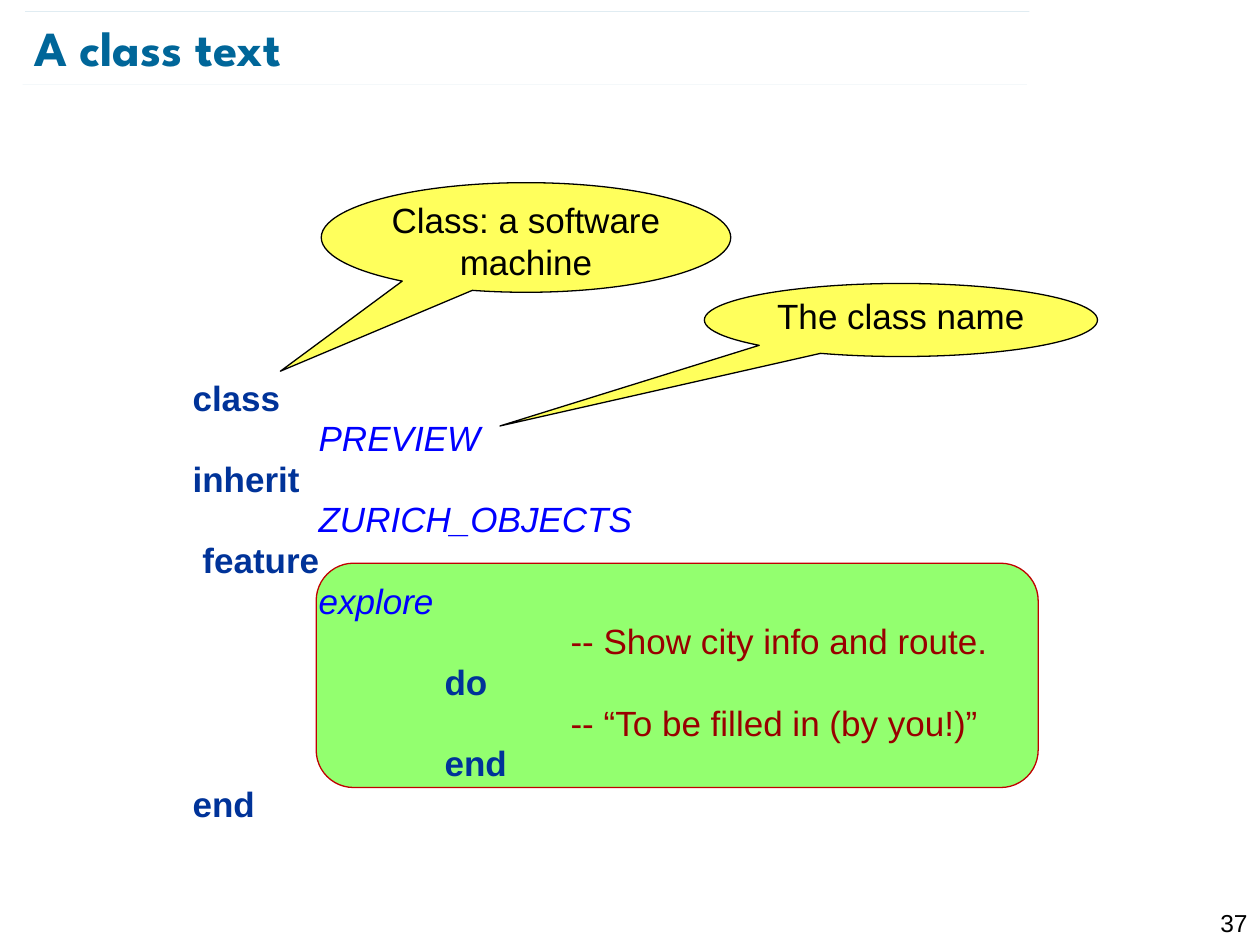
"""Build the slide that presents a class text with two callouts."""
from typing import Any, NamedTuple

from pptx import Presentation
from pptx.dml.color import RGBColor
from pptx.enum.shapes import MSO_CONNECTOR, MSO_SHAPE
from pptx.enum.text import MSO_ANCHOR, PP_ALIGN
from pptx.oxml.ns import qn
from pptx.oxml.xmlchemy import OxmlElement
from pptx.util import Pt

TOP, MIDDLE = MSO_ANCHOR.TOP, MSO_ANCHOR.MIDDLE
LEFT, CENTER, RIGHT = PP_ALIGN.LEFT, PP_ALIGN.CENTER, PP_ALIGN.RIGHT
BALLOON = MSO_SHAPE.OVAL_CALLOUT
PANEL = MSO_SHAPE.FLOWCHART_ALTERNATE_PROCESS
STRAIGHT = MSO_CONNECTOR.STRAIGHT

HEX = {
    "title": "006699", "key": "003399", "name": "0000FF", "note": "990000",
    "black": "000000", "green": "66FF33", "red": "C00000", "yellow": "FFFF00",
}
FONTS = {
    "title": {"name": "League Spartan", "size": Pt(28), "bold": True},
    "key": {"name": "Arial", "size": Pt(20), "bold": True},
    "name": {"name": "Arial", "size": Pt(20), "italic": True},
    "note": {"name": "Arial", "size": Pt(20)},
    "page": {"name": "Arial", "size": Pt(14)},
}
TAB = 72


class Box(NamedTuple):
    left: float
    top: float
    width: float
    height: float


class Code(NamedTuple):
    text: str
    style: str
    indent: float = 0


class Callout(NamedTuple):
    text: str
    box: Box
    tip: tuple[float, float]


CODE = [
    Code("class", "key"),
    Code("PREVIEW", "name", TAB),
    Code("inherit", "key"),
    Code("ZURICH_OBJECTS", "name", TAB),
    Code("feature", "key", 5.6),
    Code("explore", "name", TAB),
    Code("-- Show city info and route.", "note", 3 * TAB),
    Code("do", "key", 2 * TAB),
    Code("-- “To be filled in (by you!)”", "note", 3 * TAB),
    Code("end", "key", 2 * TAB),
    Code("end", "key"),
]
CALLOUTS = [
    Callout("Class: a software machine", Box(183.6, 104.4, 234, 62.64), (-0.6, 1.22)),
    Callout("The class name", Box(402.48, 162, 224.64, 41.76), (-1.02, 1.45)),
]
RULES = [(12.96, 48.24), (14.4, 6.48)]
RULE_WIDTH = 573.84


def apply(target: Any, values: dict[str, Any]) -> None:
    """Set every named attribute on the target."""
    for name, value in values.items():
        setattr(target, name, value)


def place(box: Box) -> list[Pt]:
    """Turn a box into lengths."""
    return [Pt(side) for side in box]


def fade(shape: Any, alpha: int) -> None:
    """Give the first colour of a shape its opacity in percent."""
    mark = OxmlElement("a:alpha")
    mark.set("val", str(alpha * 1000))
    next(shape.element.spPr.iter(qn("a:srgbClr"))).append(mark)


def frame(shape: Any, inset: tuple[float, float], anchor: Any) -> Any:
    """Set the margins and anchor of a text frame and return it."""
    side, edge = Pt(inset[0]), Pt(inset[1])
    text = shape.text_frame
    apply(text, {
        "word_wrap": True, "vertical_anchor": anchor,
        "margin_left": side, "margin_right": side,
        "margin_top": edge, "margin_bottom": edge,
    })
    return text


def write(para: Any, text: str, style: str, hue: str, align: Any) -> None:
    """Write one styled run into a paragraph."""
    para.alignment = align
    run = para.add_run()
    run.text = text
    apply(run.font, FONTS[style])
    run.font.color.rgb = RGBColor.from_string(HEX[hue])


def draw(slide: Any, kind: Any, box: Box, fill: str, line: str, alpha: int) -> Any:
    """Draw an outlined shape with a translucent fill."""
    shape = slide.shapes.add_shape(kind, *place(box))
    shape.shadow.inherit = False
    shape.fill.solid()
    shape.fill.fore_color.rgb = RGBColor.from_string(HEX[fill])
    shape.line.color.rgb = RGBColor.from_string(HEX[line])
    shape.line.width = Pt(0.75)
    fade(shape, alpha)
    return shape


def rule(slide: Any, left: float, top: float) -> None:
    """Draw a faint line across the heading."""
    line = slide.shapes.add_connector(
        STRAIGHT, Pt(left), Pt(top), Pt(left + RULE_WIDTH), Pt(top))
    line.line.color.rgb = RGBColor.from_string(HEX["title"])
    line.line.width = Pt(0.1)
    fade(line, 35)
    line.element.spPr.append(OxmlElement("a:effectLst"))


def head(slide: Any) -> None:
    """Fill and place the title."""
    title = slide.shapes.title
    sides = place(Box(19.44, 9.36, 625.68, 34.56))
    apply(title, dict(zip(Box._fields, sides)))
    text = frame(title, (0, 0), MIDDLE)
    write(text.paragraphs[0], "A class text", "title", "title", LEFT)


def listing(slide: Any) -> None:
    """Write the class text line by line."""
    box = slide.shapes.add_textbox(*place(Box(102.96, 216, 524.16, 254.88)))
    text = frame(box, (7.2, 3.6), TOP)
    for spot, code in enumerate(CODE):
        para = text.add_paragraph() if spot else text.paragraphs[0]
        apply(para, {"line_spacing": 0.8, "space_before": Pt(4 if spot else 0)})
        para._p.get_or_add_pPr().set("marL", str(Pt(code.indent)))
        write(para, code.text, code.style, code.style, LEFT)


def balloon(slide: Any, item: Callout) -> None:
    """Draw one callout with its tip and text."""
    shape = draw(slide, BALLOON, item.box, "yellow", "black", 64)
    for spot, value in enumerate(item.tip):
        shape.adjustments[spot] = value
    text = frame(shape, (0, 0), TOP)
    write(text.paragraphs[0], item.text, "note", "black", CENTER)


def main() -> None:
    """Build and save the slide."""
    deck = Presentation()
    apply(deck, {"slide_width": Pt(720), "slide_height": Pt(540)})
    slide = deck.slides.add_slide(deck.slide_layouts[5])
    head(slide)
    page = slide.shapes.add_textbox(*place(Box(680.4, 515.52, 39.6, 17.28)))
    write(frame(page, (7.2, 3.6), TOP).paragraphs[0], "37", "page", "black", RIGHT)
    for left, top in RULES:
        rule(slide, left, top)
    draw(slide, PANEL, Box(180.72, 321.84, 412.56, 128.16), "green", "red", 70)
    listing(slide)
    for item in CALLOUTS:
        balloon(slide, item)
    deck.save("out.pptx")


if __name__ == "__main__":
    main()
